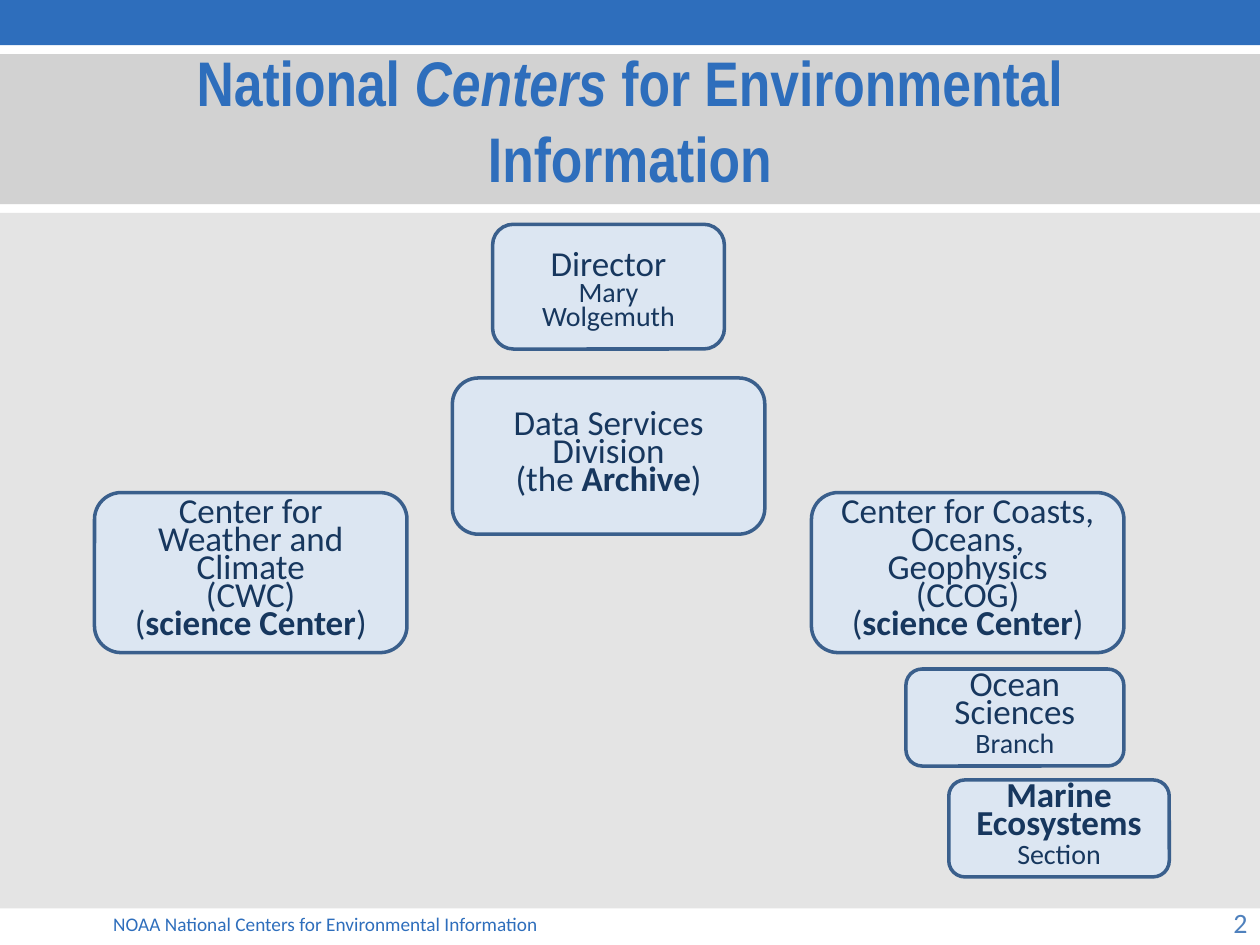
from pptx import Presentation
from pptx.dml.color import RGBColor
from pptx.enum.shapes import MSO_SHAPE as SHAPE
from pptx.enum.text import MSO_ANCHOR as ANCHOR, MSO_AUTO_SIZE as FIT, PP_ALIGN as ALIGN
from pptx.oxml.ns import qn
from pptx.util import Inches, Pt
from lxml.etree import SubElement

BLUE = RGBColor(0x2E, 0x6E, 0xBC)
PAGE_BLUE = RGBColor(0x4F, 0x81, 0xBD)
LIGHT_GRAY = RGBColor(0xD9, 0xD9, 0xD9)
GRAY = RGBColor(0xBF, 0xBF, 0xBF)
BOX_FILL = RGBColor(0xDC, 0xE6, 0xF2)
BOX_LINE = RGBColor(0x3A, 0x5F, 0x8C)
NAVY = RGBColor(0x17, 0x37, 0x5E)

BANDS = [
    ((0, 0, 10, 0.36), BLUE, 100),
    ((0, 1.69, 10, 5.52), LIGHT_GRAY, 70),
    ((0, 0.43, 10, 1.19), GRAY, 70),
]
TITLE = [("National ", {}), ("Centers", {"italic": True}),
         (" for Environmental Information", {})]
FOOTER = "NOAA National Centers for Environmental Information"
PAGE = "2"

BOLD = {"bold": True}
SMALL = {"size": Pt(16)}
SCIENCE = [("(", {}), ("science Center", BOLD), (")", {})]
BOXES = [
    ((3.91, 1.78, 1.84, 0.99), [
        (None, [("Director", {})]),
        (14, [("Mary Wolgemuth", SMALL)])]),
    ((6.44, 3.91, 2.48, 1.27), [
        (16, [("Center for Coasts, Oceans, Geophysics", {})]),
        (16, [("(CCOG)", {})]),
        (16, SCIENCE)]),
    ((0.75, 3.91, 2.48, 1.27), [
        (16, [("Center for Weather and Climate", {})]),
        (16, [("(CWC)", {})]),
        (16, SCIENCE)]),
    ((3.59, 3, 2.48, 1.24), [
        (16, [("Data Services Division", {})]),
        (16, [("(the ", {}), ("Archive", BOLD), (")", {})])]),
    ((7.19, 5.31, 1.73, 0.77), [
        (16, [("Ocean Sciences", {})]),
        (16, [("Branch", SMALL)])]),
    ((7.53, 6.19, 1.75, 0.77), [
        (16, [("Marine Ecosystems", BOLD)]),
        (16, [("Section", SMALL)])]),
]


def add_runs(p, runs, color, **base):
    for text, extra in runs:
        r = p.add_run()
        r.text = text
        r.font.color.rgb = color
        for name, value in {**base, **extra}.items():
            setattr(r.font, name, value)


def add_block(s, kind, box, color, alpha=100):
    sp = s.shapes.add_shape(kind, *map(Inches, box))
    sp.shadow.inherit = False
    sp.fill.solid()
    sp.fill.fore_color.rgb = color
    if alpha < 100:
        clr = sp.fill._xPr.find(qn("a:solidFill"))[0]
        SubElement(clr, qn("a:alpha")).set("val", str(alpha * 1000))
    sp.line.fill.background()
    return sp


def add_label(s, box, text, size, color, align, anchor):
    tf = s.shapes.add_textbox(*map(Inches, box)).text_frame
    tf.word_wrap = True
    tf.vertical_anchor = anchor
    p = tf.paragraphs[0]
    p.alignment = align
    add_runs(p, [(text, {})], color, name="Calibri", size=Pt(size))


def add_title(s):
    sp = s.shapes.title
    s.shapes._spTree.append(sp._element)
    sp.left, sp.top, sp.width, sp.height = map(Inches, (0.5, 0.32, 9, 1.25))
    tf = sp.text_frame
    tf.auto_size = FIT.NONE
    tf.vertical_anchor = ANCHOR.MIDDLE
    p = tf.paragraphs[0]
    p.alignment = ALIGN.CENTER
    add_runs(p, TITLE, BLUE, name="Arial Narrow", size=Pt(36), bold=True)


def add_org_box(s, box, lines):
    sp = add_block(s, SHAPE.ROUNDED_RECTANGLE, box, BOX_FILL)
    sp.line.color.rgb = BOX_LINE
    sp.line.width = Pt(2)
    tf = sp.text_frame
    tf.word_wrap = True
    tf.vertical_anchor = ANCHOR.MIDDLE
    for i, (spacing, runs) in enumerate(lines):
        p = tf.add_paragraph() if i else tf.paragraphs[0]
        p.alignment = ALIGN.CENTER
        if spacing:
            p.line_spacing = Pt(spacing)
        add_runs(p, runs, NAVY, name="Calibri", size=Pt(20))


def main():
    prs = Presentation()
    prs.slide_width, prs.slide_height = Inches(10), Inches(7.5)
    s = prs.slides.add_slide(prs.slide_layouts[5])
    for box, color, alpha in BANDS:
        add_block(s, SHAPE.RECTANGLE, box, color, alpha)
    add_label(s, (0.8, 7.19, 8.4, 0.29), FOOTER, 11, BLUE, ALIGN.LEFT, ANCHOR.TOP)
    add_label(s, (7.67, 7.12, 2.33, 0.4), PAGE, 16, PAGE_BLUE, ALIGN.RIGHT, ANCHOR.MIDDLE)
    add_title(s)
    for box, lines in BOXES:
        add_org_box(s, box, lines)
    prs.save("out.pptx")


if __name__ == "__main__":
    main()
